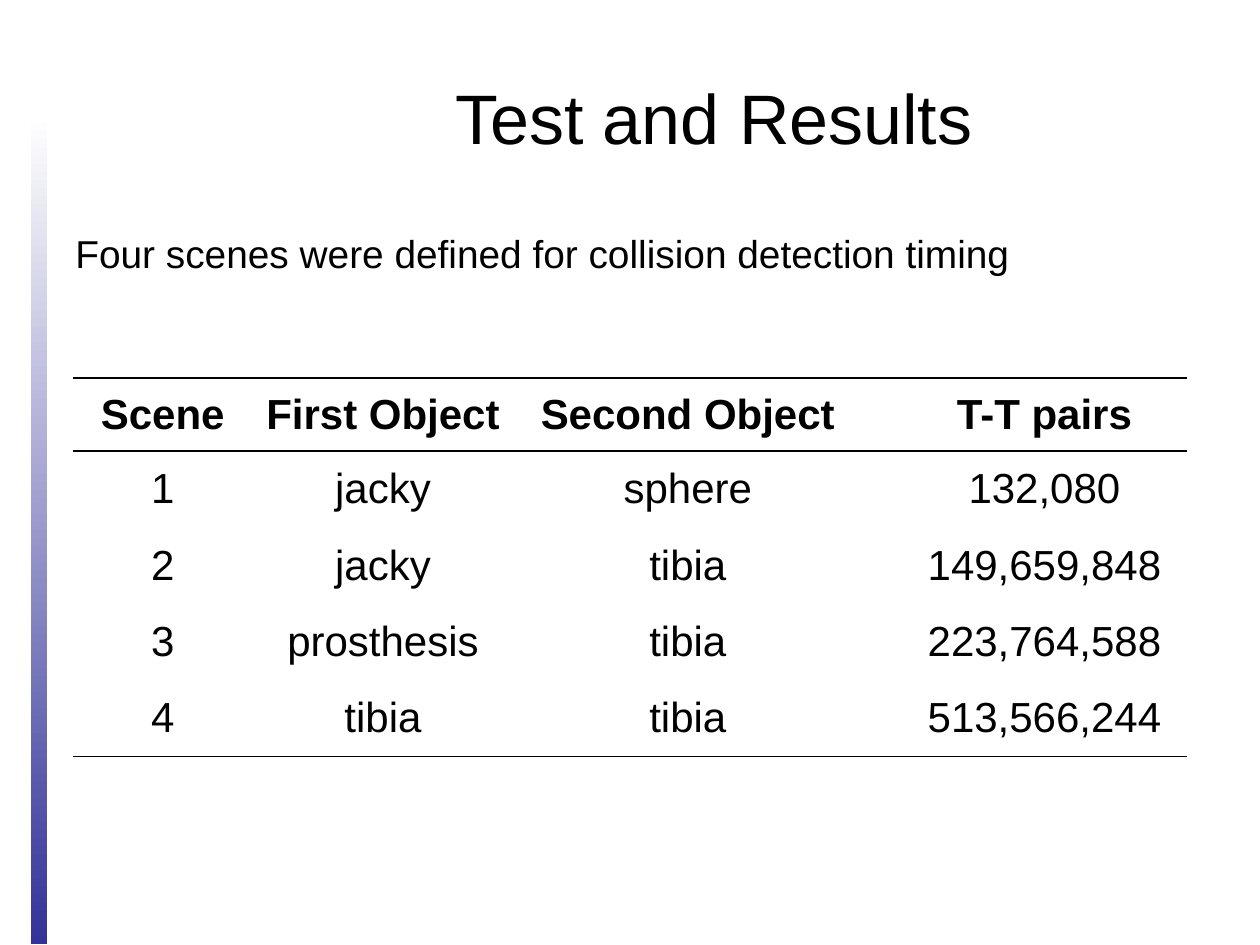
from dataclasses import dataclass

from lxml.etree import SubElement
from pptx import Presentation
from pptx.dml.color import RGBColor
from pptx.enum.shapes import MSO_CONNECTOR as Connector
from pptx.enum.shapes import MSO_SHAPE as Preset
from pptx.enum.text import MSO_ANCHOR as Anchor
from pptx.enum.text import PP_ALIGN as Align
from pptx.oxml.ns import qn
from pptx.slide import Slide
from pptx.util import Cm, Pt

COLOURS = {"text": "000000", "rule": "000000", "bar_top": "FFFFFF", "bar_bottom": "333399"}
TABLE_LEFT, TABLE_TOP = 1.48, 7.62
HEADER_HEIGHT, ROW_HEIGHT = 1.47, 1.54


@dataclass
class TextBlock:
    text: str
    left: float
    top: float
    width: float
    height: float
    size: float
    align: Align
    anchor: Anchor


@dataclass
class Column:
    width: float
    cells: list[str]
    left_margin: float = 0


TEXT_BLOCKS = [
    TextBlock("Test and Results", 4.65, 0.76, 19.48, 3.18, 40, Align.CENTER, Anchor.MIDDLE),
    TextBlock("Four scenes were defined for collision detection timing",
              1.27, 4.5, 22.86, 1.27, 22.2, Align.LEFT, Anchor.TOP),
]
COLUMNS = [
    Column(3.6, ["Scene", "1", "2", "3", "4"]),
    Column(5.28, ["First Object", "jacky", "jacky", "prosthesis", "tibia"]),
    Column(7.01, ["Second Object", "sphere", "tibia", "tibia", "tibia"]),
    Column(6.56, ["T-T pairs", "132,080", "149,659,848", "223,764,588", "513,566,244"], 0.81),
]


def colour(name: str) -> RGBColor:
    return RGBColor.from_string(COLOURS[name])


def set_attributes(target: object, values: dict) -> None:
    for name, value in values.items():
        setattr(target, name, value)


def write(paragraph, text: str, size: float, align: Align, bold: bool = False) -> None:
    paragraph.text = text
    paragraph.alignment = align
    set_attributes(paragraph.font, {"name": "Arial", "size": Pt(size), "bold": bold})
    paragraph.font.color.rgb = colour("text")


def draw_bar(slide: Slide) -> None:
    bar = slide.shapes.add_shape(Preset.RECTANGLE, Cm(0.62), Cm(2.32), Cm(0.33), Cm(16.71))
    bar.shadow.inherit = False
    bar.line.fill.background()
    bar.fill.gradient()
    bar.fill.gradient_angle = 270
    for stop, position, name in zip(bar.fill.gradient_stops, (0, 1), ("bar_top", "bar_bottom")):
        stop.position = position
        stop.color.rgb = colour(name)


def draw_text(slide: Slide, block: TextBlock) -> None:
    box = slide.shapes.add_textbox(Cm(block.left), Cm(block.top), Cm(block.width), Cm(block.height))
    set_attributes(box.text_frame, {"word_wrap": True, "vertical_anchor": block.anchor})
    write(box.text_frame.paragraphs[0], block.text, block.size, block.align)


def draw_table(slide: Slide, columns: list[Column], heights: list[float]) -> None:
    width = sum(column.width for column in columns)
    frame = slide.shapes.add_table(len(heights), len(columns), Cm(TABLE_LEFT), Cm(TABLE_TOP),
                                   Cm(width), Cm(sum(heights)))
    table = frame.table
    set_attributes(table, {"first_row": False, "horz_banding": False})
    for row, height in zip(table.rows, heights):
        row.height = Cm(height)
    for column_index, column in enumerate(columns):
        table.columns[column_index].width = Cm(column.width)
        for row_index, text in enumerate(column.cells):
            cell = table.cell(row_index, column_index)
            set_attributes(cell, {
                "margin_left": Cm(column.left_margin), "margin_right": 0,
                "margin_top": 0, "margin_bottom": 0, "vertical_anchor": Anchor.MIDDLE,
            })
            write(cell.text_frame.paragraphs[0], text, 24, Align.CENTER, row_index == 0)
            properties = cell._tc.get_or_add_tcPr()
            for side in ("a:lnL", "a:lnR", "a:lnT", "a:lnB"):
                SubElement(SubElement(properties, qn(side), w="0"), qn("a:noFill"))
            cell.fill.background()


def draw_rule(slide: Slide, top: float, width: float) -> None:
    rule = slide.shapes.add_connector(Connector.STRAIGHT, Cm(TABLE_LEFT), Cm(top),
                                      Cm(TABLE_LEFT + width), Cm(top))
    rule.line.width = Pt(0.75)
    rule.line.color.rgb = colour("rule")
    SubElement(rule._element.spPr, qn("a:effectLst"))


def main() -> None:
    presentation = Presentation()
    set_attributes(presentation, {"slide_width": Cm(25.4), "slide_height": Cm(19.05)})
    slide = presentation.slides.add_slide(presentation.slide_layouts[6])
    draw_bar(slide)
    for block in TEXT_BLOCKS:
        draw_text(slide, block)
    heights = [HEADER_HEIGHT] + [ROW_HEIGHT] * (len(COLUMNS[0].cells) - 1)
    draw_table(slide, COLUMNS, heights)
    table_width = sum(column.width for column in COLUMNS)
    for offset in (0, HEADER_HEIGHT, sum(heights)):
        draw_rule(slide, TABLE_TOP + offset, table_width)
    presentation.save("out.pptx")


if __name__ == "__main__":
    main()
